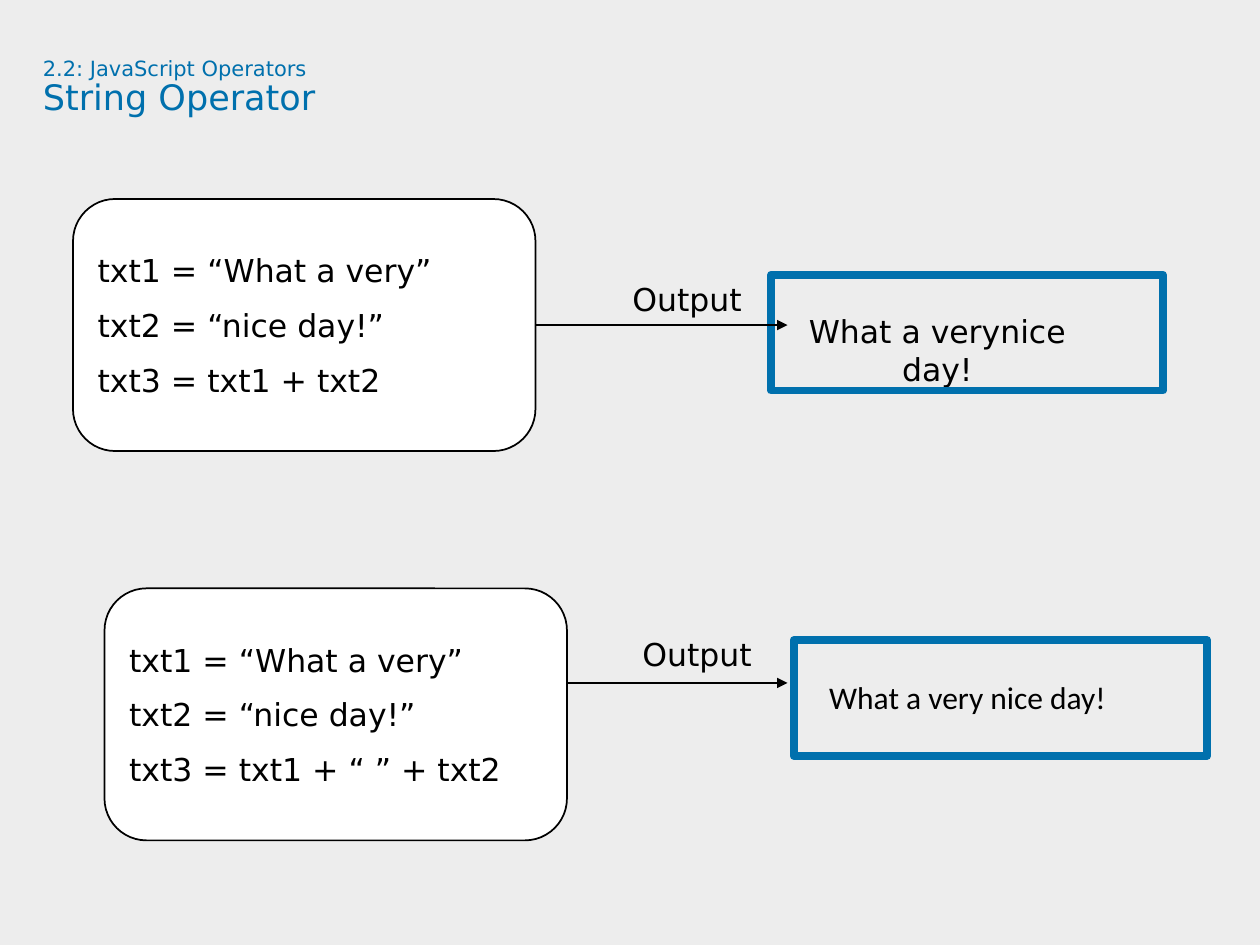
from dataclasses import dataclass

from lxml import etree
from pptx import Presentation
from pptx.dml.color import RGBColor
from pptx.enum.shapes import MSO_CONNECTOR, MSO_SHAPE
from pptx.enum.text import MSO_ANCHOR, PP_ALIGN
from pptx.oxml.ns import qn
from pptx.util import Inches, Pt


@dataclass(frozen=True)
class Theme:
    background: RGBColor = RGBColor(0xED, 0xED, 0xED)
    accent: RGBColor = RGBColor(0x00, 0x70, 0xAD)
    ink: RGBColor = RGBColor(0, 0, 0)
    paper: RGBColor = RGBColor(0xFF, 0xFF, 0xFF)
    font: str = "DejaVu Sans"
    plain_font: str = "Calibri"
    body_size: float = 18
    section_size: float = 12
    title_size: float = 20
    line_gap: float = 9.7


class SlideBuilder:
    def __init__(self, slide, theme):
        self.slide = slide
        self.theme = theme
        fill = slide.background.fill
        fill.solid()
        fill.fore_color.rgb = theme.background

    def style(self, span, size, color, font=None):
        span.font.name = font or self.theme.font
        span.font.size = Pt(size)
        span.font.color.rgb = color

    def title(self, section, heading):
        box = self.slide.shapes.add_textbox(
            Inches(0.34), Inches(0.46), Inches(9.09), Inches(0.94))
        frame = box.text_frame
        frame.word_wrap = True
        frame.margin_left = frame.margin_right = 0
        frame.margin_top = frame.margin_bottom = 0
        para = frame.paragraphs[0]
        para.text = f"{section}\v{heading}"
        para.line_spacing = 0.9
        sizes = (self.theme.section_size, self.theme.title_size)
        for span, size in zip(para.runs, sizes):
            self.style(span, size, self.theme.accent)

    def panel(self, preset, left, top, width, height, line, weight, fill=None):
        shape = self.slide.shapes.add_shape(
            preset, Inches(left), Inches(top), Inches(width), Inches(height))
        shape.shadow.inherit = False
        shape.line.color.rgb = line
        shape.line.width = Pt(weight)
        if fill is None:
            shape.fill.background()
        else:
            shape.fill.solid()
            shape.fill.fore_color.rgb = fill
        return shape

    def code(self, left, top, lines):
        theme = self.theme
        shape = self.panel(MSO_SHAPE.ROUNDED_RECTANGLE, left, top, 3.67, 2,
                           theme.ink, 1, theme.paper)
        frame = shape.text_frame
        frame.word_wrap = True
        frame.vertical_anchor = MSO_ANCHOR.MIDDLE
        frame.text = "\n".join(lines)
        for para in frame.paragraphs:
            para.alignment = PP_ALIGN.LEFT
            para.space_before = Pt(theme.line_gap)
            self.style(para.runs[0], theme.body_size, theme.ink)

    def label(self, left, top, width, text, align=PP_ALIGN.LEFT, font=None):
        box = self.slide.shapes.add_textbox(
            Inches(left), Inches(top), Inches(width), Inches(0.4))
        box.text_frame.word_wrap = True
        para = box.text_frame.paragraphs[0]
        para.text = text
        para.alignment = align
        self.style(para.runs[0], self.theme.body_size, self.theme.ink, font)

    def result(self, left, top, width, text, text_left, text_width, font):
        self.label(text_left, top + 0.25, text_width, text, PP_ALIGN.CENTER, font)
        self.panel(MSO_SHAPE.RECTANGLE, left, top, width, 0.92,
                   self.theme.accent, 4.5)

    def arrow(self, start, end, y):
        line = self.slide.shapes.add_connector(
            MSO_CONNECTOR.STRAIGHT, Inches(start), Inches(y), Inches(end), Inches(y))
        line.line.color.rgb = self.theme.ink
        line.line.width = Pt(0.75)
        etree.SubElement(line.line._get_or_add_ln(), qn("a:tailEnd"), type="triangle")
        etree.SubElement(line._element.spPr, qn("a:effectLst"))


def main():
    deck = Presentation()
    deck.slide_width, deck.slide_height = Inches(10), Inches(7.5)
    theme = Theme()
    builder = SlideBuilder(deck.slides.add_slide(deck.slide_layouts[6]), theme)

    # Heading
    builder.title("2.2: JavaScript Operators", "String Operator")

    # Each example: code position, sum, arrow height, label position, result
    examples = [
        ((0.58, 1.58), "txt1 + txt2", 2.58, (4.92, 2.17),
         (6.12, 2.18, 3.11, "What a verynice day!", 6.16, 2.56, theme.font)),
        ((0.83, 4.67), "txt1 + “ ” + txt2", 5.42, (5, 4.99),
         (6.3, 5.08, 3.28, "What a very nice day!", 6.45, 2.46, theme.plain_font)),
    ]
    for (left, top), total, arrow_y, label_at, result in examples:
        builder.code(left, top, ["txt1 = “What a very”", "txt2 = “nice day!”",
                                 f"txt3 = {total}"])
        builder.result(*result)
        builder.arrow(left + 3.67, 6.25, arrow_y)
        builder.label(*label_at, 1.08, "Output")

    deck.save("out.pptx")


if __name__ == "__main__":
    main()
